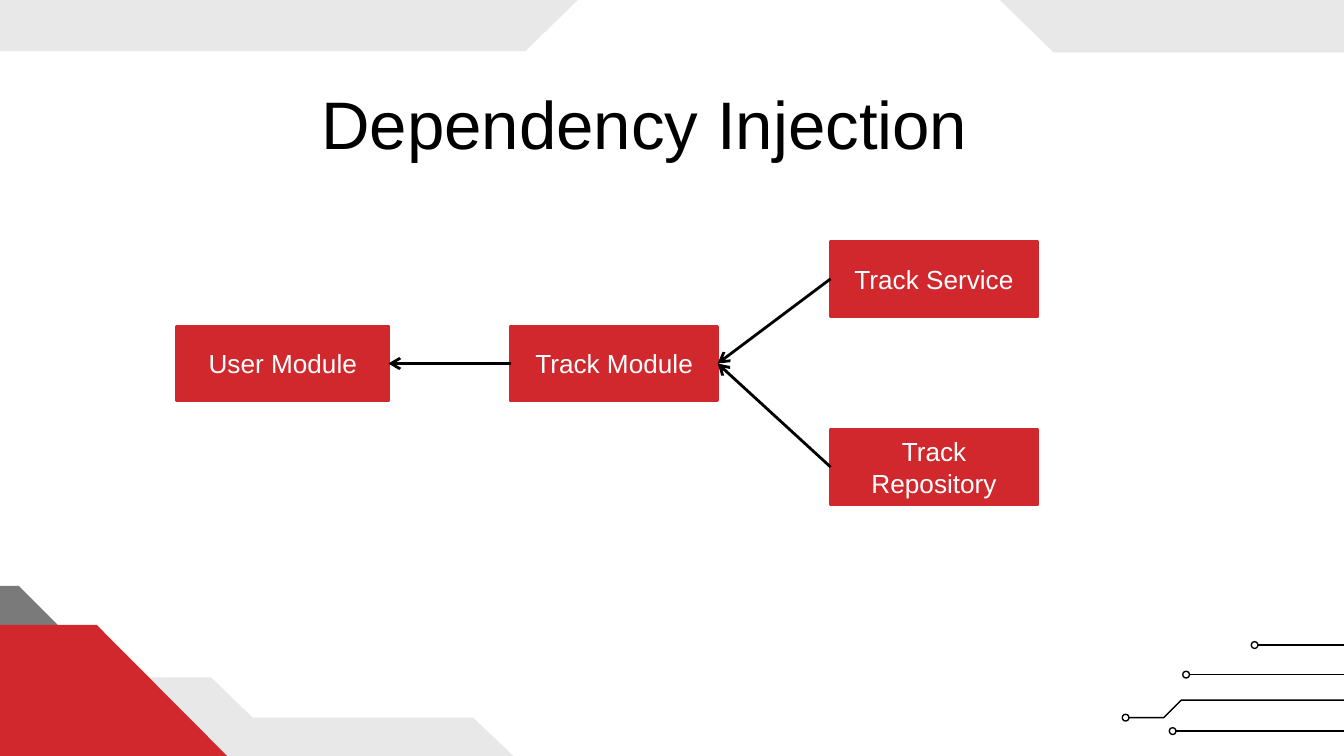
from lxml.etree import SubElement
from pptx import Presentation
from pptx.dml.color import RGBColor
from pptx.enum.shapes import MSO_CONNECTOR, MSO_SHAPE
from pptx.enum.text import MSO_ANCHOR, MSO_AUTO_SIZE, PP_ALIGN
from pptx.oxml.ns import qn
from pptx.util import Inches, Pt

COLORS = {
    "black": "000000",
    "white": "FFFFFF",
    "red": "D1282E",
    "dark_grey": "7A7A7A",
    "light_grey": "E8E8E8",
}
WIDTH = 10
HEIGHT = WIDTH * 9 / 16
LEFT, RIGHT = 1, 3  # connection sites of a rectangle


class SlideBuilder:
    font = "Arial"
    title_size = 36
    box_size = 14
    box_height = 0.55
    node_size = 0.05

    def __init__(self, slide):
        self.slide = slide
        self.shapes = slide.shapes

    def color(self, name):
        return RGBColor.from_string(COLORS[name])

    def style_shape(self, shape, fill=None, line=None, width=0.75):
        shape.shadow.inherit = False
        if fill:
            shape.fill.solid()
            shape.fill.fore_color.rgb = self.color(fill)
        else:
            shape.fill.background()
        if line:
            shape.line.color.rgb = self.color(line)
            shape.line.width = Pt(width)
        else:
            shape.line.fill.background()

    def style_text(self, text_frame, size, color):
        text_frame.word_wrap = True
        text_frame.vertical_anchor = MSO_ANCHOR.MIDDLE
        paragraph = text_frame.paragraphs[0]
        paragraph.alignment = PP_ALIGN.CENTER
        font = paragraph.runs[0].font
        font.name = self.font
        font.size = Pt(size)
        font.color.rgb = self.color(color)

    def title(self, text, left, top, width, height):
        shape = self.shapes.title
        shape.left, shape.top = Inches(left), Inches(top)
        shape.width, shape.height = Inches(width), Inches(height)
        text_frame = shape.text_frame
        text_frame.text = text
        text_frame.auto_size = MSO_AUTO_SIZE.NONE
        text_frame.margin_left = text_frame.margin_right = Inches(0.1)
        text_frame.margin_top = text_frame.margin_bottom = Inches(0.1)
        self.style_text(text_frame, self.title_size, "black")

    def outline(self, points, closed):
        corners = [(Inches(x), Inches(y)) for x, y in points]
        builder = self.shapes.build_freeform(*corners[0])
        builder.add_line_segments(corners[1:], close=closed)
        return builder.convert_to_shape()

    def polygon(self, points, fill):
        self.style_shape(self.outline(points, True), fill=fill)

    def circuit(self, points):
        """Draw a thin trace with a small ring at its first point."""
        if len(points) == 2:
            self.line(*points, width=0.75)
        else:
            self.style_shape(self.outline(points, False), line="black")
        x, y = points[0]
        size = Inches(self.node_size)
        ring = self.shapes.add_shape(
            MSO_SHAPE.OVAL,
            Inches(x - self.node_size), Inches(y - self.node_size / 2), size, size,
        )
        self.style_shape(ring, line="black")

    def box(self, text, left, top, width=1.54):
        shape = self.shapes.add_shape(
            MSO_SHAPE.RECTANGLE,
            Inches(left), Inches(top), Inches(width), Inches(self.box_height),
        )
        self.style_shape(shape, fill="red", line="red", width=2)
        shape.text_frame.text = text
        self.style_text(shape.text_frame, self.box_size, "white")
        return shape

    def line(self, start, end, width):
        connector = self.shapes.add_connector(
            MSO_CONNECTOR.STRAIGHT, *(Inches(value) for value in (*start, *end))
        )
        connector.line.color.rgb = self.color("black")
        connector.line.width = Pt(width)
        SubElement(connector._element.spPr, qn("a:effectLst"))
        return connector

    def arrow(self, source, target):
        connector = self.line((0, 0), (1, 1), width=1.5)
        connector.begin_connect(source, LEFT)
        connector.end_connect(target, RIGHT)
        SubElement(connector.line._get_or_add_ln(), qn("a:tailEnd"), type="arrow")


def main():
    presentation = Presentation()
    presentation.slide_width = Inches(WIDTH)
    presentation.slide_height = Inches(HEIGHT)
    title_only = presentation.slide_layouts[5]
    builder = SlideBuilder(presentation.slides.add_slide(title_only))

    decorations = [
        ("light_grey", [(0, 5.04), (1.57, 5.04), (1.88, 5.34), (3.52, 5.34),
                        (3.82, HEIGHT), (0, HEIGHT)]),
        ("light_grey", [(0, 0), (4.3, 0), (3.91, 0.38), (0, 0.38)]),
        ("light_grey", [(7.44, 0), (WIDTH, 0), (WIDTH, 0.39), (7.84, 0.39)]),
        ("dark_grey", [(0, 4.36), (0.14, 4.36), (0.43, 4.65), (0, 4.65)]),
        ("red", [(0, 4.65), (0.72, 4.65), (1.69, HEIGHT), (0, HEIGHT)]),
    ]
    for fill, points in decorations:
        builder.polygon(points, fill)

    circuits = [
        [(8.75, 5.44), (WIDTH, 5.44)],
        [(8.85, 5.02), (WIDTH, 5.02)],
        [(8.4, 5.34), (8.66, 5.34), (8.79, 5.21), (WIDTH, 5.21)],
        [(9.36, 4.8), (WIDTH, 4.8)],
    ]
    for points in circuits:
        builder.circuit(points)

    builder.title("Dependency Injection", 2.09, 0.39, 5.41, 1.04)

    user_module = builder.box("User Module", 1.32, 2.43, width=1.57)
    track_module = builder.box("Track Module", 3.8, 2.43)
    track_service = builder.box("Track Service", 6.18, 1.8)
    track_repository = builder.box("Track Repository", 6.18, 3.2)

    builder.arrow(track_module, user_module)
    builder.arrow(track_service, track_module)
    builder.arrow(track_repository, track_module)

    presentation.save("out.pptx")


if __name__ == "__main__":
    main()
